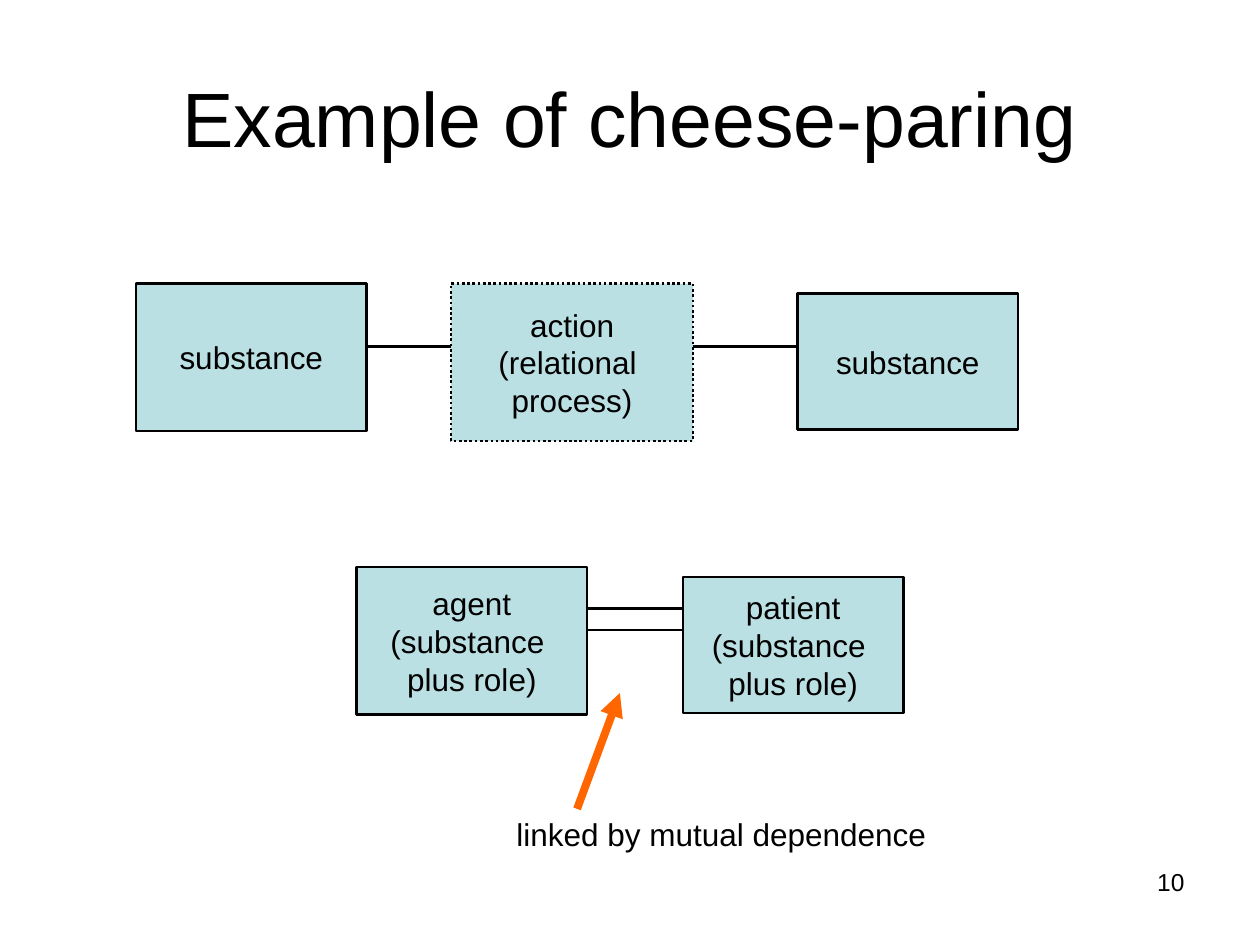
import pptx
import pptx.util
import pptx.dml.color
import pptx.enum.dml
import pptx.enum.shapes
import pptx.enum.text
import pptx.oxml.ns
import lxml.etree

Inches = pptx.util.Inches
Align = pptx.enum.text.PP_ALIGN
Anchor = pptx.enum.text.MSO_ANCHOR
COLORS = {"text": "000000", "fill": "BBE0E3", "line": "000000", "arrow": "FF6600"}


def rgb(name):
    return pptx.dml.color.RGBColor.from_string(COLORS[name])


def write_text(shape, text, size=18, align=Align.CENTER, anchor=Anchor.MIDDLE, wrap=False):
    frame = shape.text_frame
    frame.word_wrap = wrap
    frame.auto_size = pptx.enum.text.MSO_AUTO_SIZE.NONE
    frame.vertical_anchor = anchor
    frame.text = text
    for para in frame.paragraphs:
        para.alignment = align
        for span in para.runs:
            span.font.name = "Arial"
            span.font.size = pptx.util.Pt(size)
            span.font.color.rgb = rgb("text")


deck = pptx.Presentation()
deck.slide_width = Inches(10)
deck.slide_height = Inches(7.5)
page = deck.slides.add_slide(deck.slide_layouts[5])

title = page.shapes.title
title.left, title.top = Inches(0.5), Inches(0.3)
title.width, title.height = Inches(9), Inches(1.25)
write_text(title, "Example of cheese-paring", size=44, wrap=True)

links = [
    (2.92, 2.75, 3.67, 2.75, "line", 1.5),
    (5.5, 2.75, 6.33, 2.75, "line", 1.5),
    (4.67, 4.83, 5.42, 4.83, "line", 1.5),
    (4.67, 5, 5.42, 5, "line", 1.5),
    (4.58, 6.42, 4.92, 5.5, "arrow", 4.5),
]
for x1, y1, x2, y2, color, weight in links:
    link = page.shapes.add_connector(
        pptx.enum.shapes.MSO_CONNECTOR.STRAIGHT, Inches(x1), Inches(y1), Inches(x2), Inches(y2)
    )
    link.line.color.rgb = rgb(color)
    link.line.width = pptx.util.Pt(weight)
    if color == "arrow":
        lxml.etree.SubElement(
            link.line._get_or_add_ln(), pptx.oxml.ns.qn("a:tailEnd"), type="triangle"
        )
    lxml.etree.SubElement(link._element.spPr, pptx.oxml.ns.qn("a:effectLst"))

Dash = pptx.enum.dml.MSO_LINE
boxes = [
    ("substance", 1.08, 2.25, 1.83, 1.17, Dash.SOLID),
    ("substance", 6.33, 2.33, 1.75, 1.08, Dash.SOLID),
    ("action\n(relational \nprocess)", 3.58, 2.25, 1.92, 1.25, Dash.ROUND_DOT),
    ("agent\n(substance \nplus role)", 2.83, 4.5, 1.83, 1.17, Dash.SOLID),
    ("patient\n(substance \nplus role)", 5.42, 4.58, 1.75, 1.08, Dash.SOLID),
]
for text, left, top, width, height, dash in boxes:
    box = page.shapes.add_shape(
        pptx.enum.shapes.MSO_SHAPE.RECTANGLE,
        Inches(left), Inches(top), Inches(width), Inches(height),
    )
    box.shadow.inherit = False
    box.fill.solid()
    box.fill.fore_color.rgb = rgb("fill")
    box.line.color.rgb = rgb("line")
    box.line.width = pptx.util.Pt(1.5)
    box.line.dash_style = dash
    write_text(box, text)

caption = page.shapes.add_textbox(Inches(4), Inches(6.42), Inches(3.45), Inches(0.4))
write_text(caption, "linked by mutual dependence", align=Align.LEFT, anchor=Anchor.TOP)

number = page.shapes.add_textbox(Inches(7.17), Inches(6.83), Inches(2.33), Inches(0.52))
write_text(number, "10", size=14, align=Align.RIGHT, anchor=Anchor.TOP, wrap=True)

deck.save("out.pptx")
